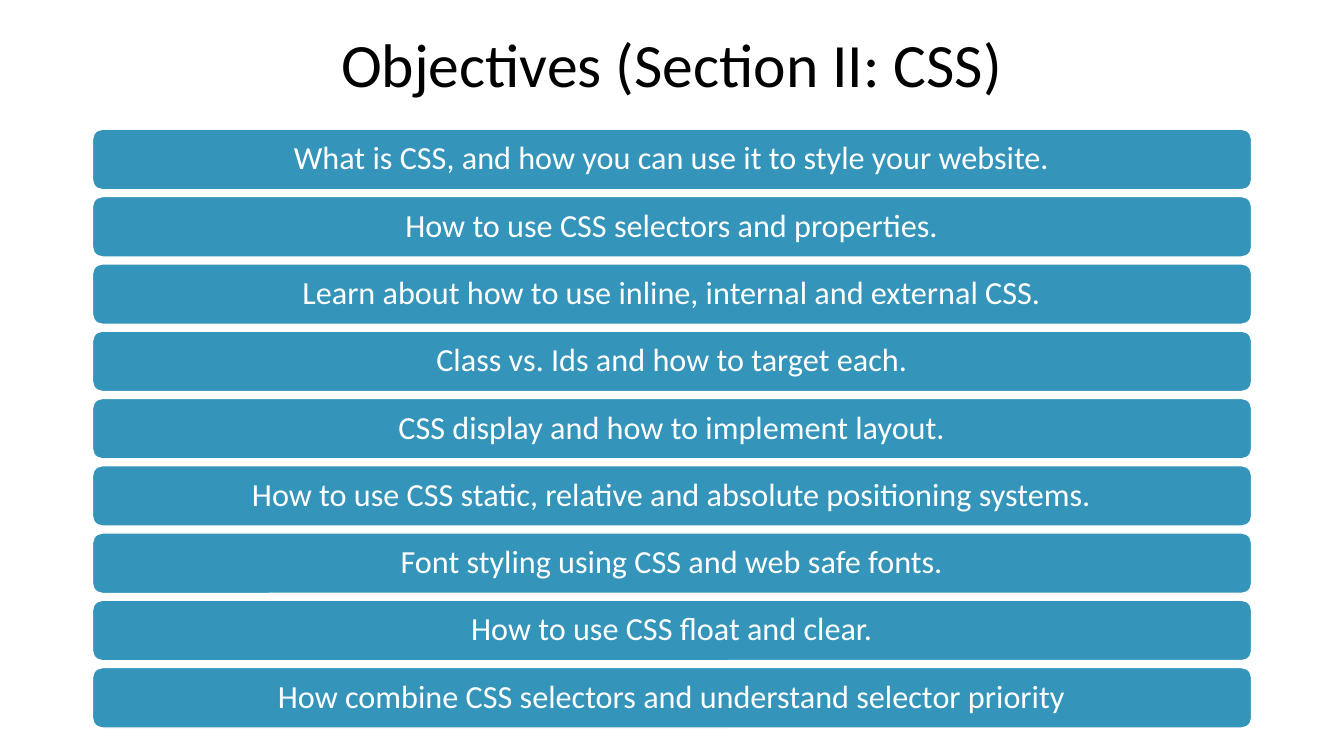
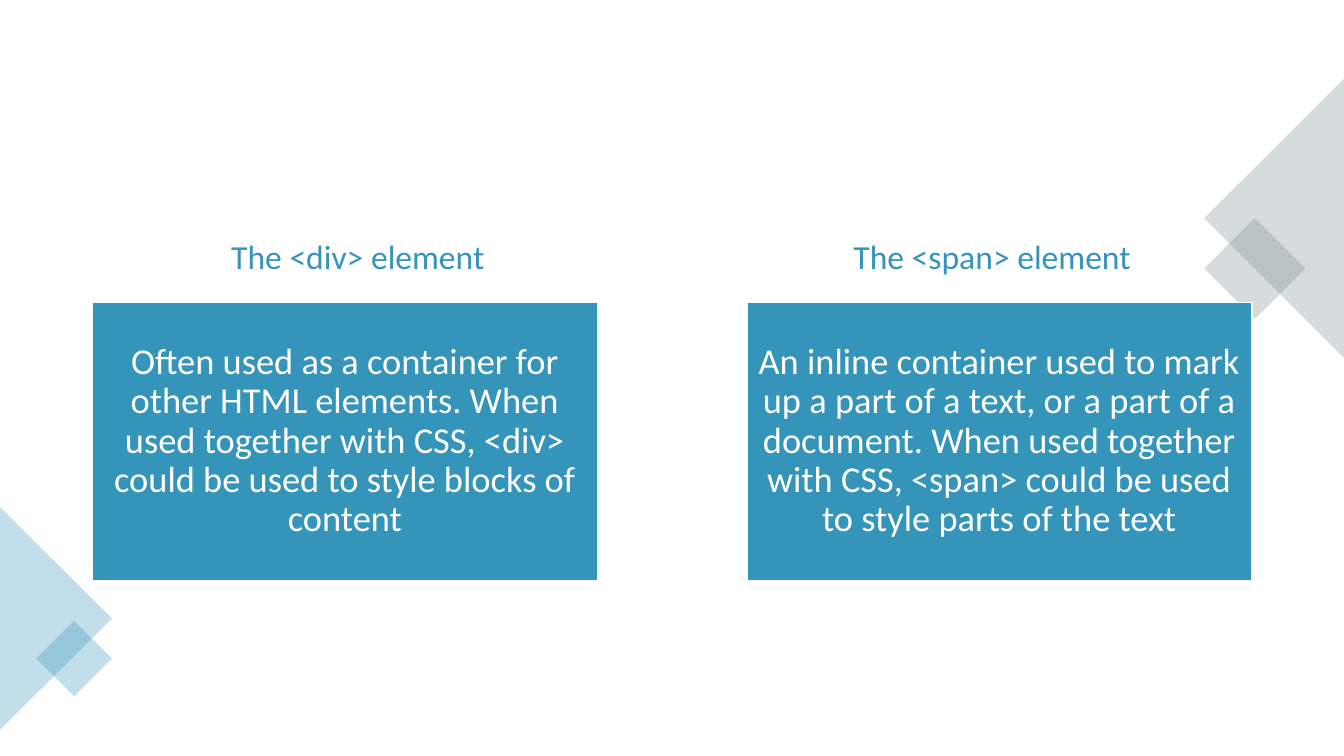
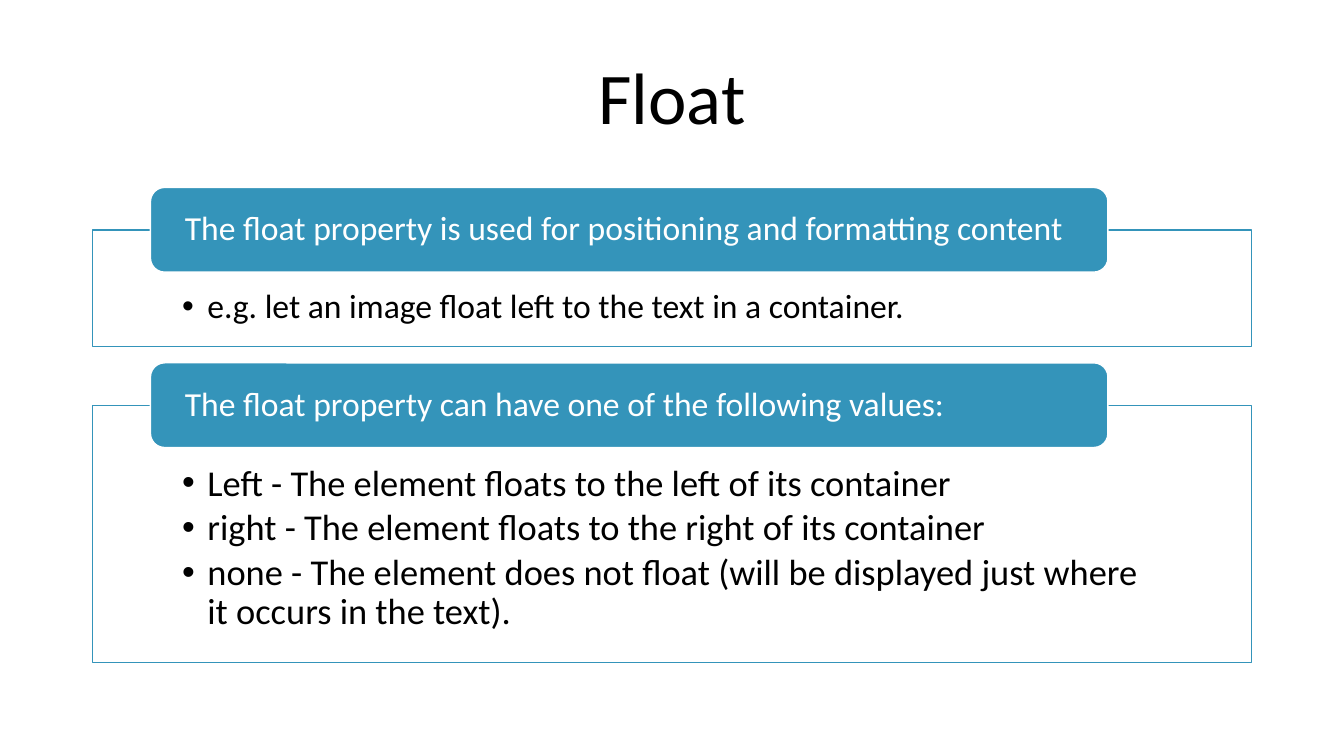
from dataclasses import dataclass
from math import sqrt

from lxml import etree
from pptx import Presentation
from pptx import util as u
from pptx.dml.color import RGBColor
from pptx.enum import shapes, text
from pptx.oxml.ns import qn


@dataclass(frozen=True)
class Theme:
    font: str = "Calibri"
    blue: str = "3494BA"
    grey: str = "7A8C8E"
    white: str = "FFFFFF"
    black: str = "000000"
    small: int = 23
    mid: int = 24
    large: int = 26
    head: int = 44
    top: int = 52
    lead: float = 0.9
    tint: int = 30


@dataclass(frozen=True)
class Box:
    x: float
    y: float
    w: float
    h: float

    def area(self, x, y, w, h):
        return Box(self.x + self.w * x / 100, self.y + self.h * y / 100,
                   self.w * w / 100, self.h * h / 100)

    def frame(self):
        return [u.Inches(v) for v in (self.x, self.y, self.w, self.h)]


THEME = Theme()
PAGE = Box(0, 0, 13.33, 7.5)
KIND = shapes.MSO_SHAPE
LEFT, CENTER = text.PP_ALIGN.LEFT, text.PP_ALIGN.CENTER
TOP, MIDDLE = text.MSO_ANCHOR.TOP, text.MSO_ANCHOR.MIDDLE


def around(x, y, w, h):
    return Box(x - w / 2, y - h / 2, w, h)


def write(shape, *lines, size, color=THEME.white, align=CENTER, anchor=MIDDLE,
          pad=(0.1, 0.05, 0.1, 0.05), lead=THEME.lead, after=0, dots=False):
    frame = shape.text_frame
    frame.word_wrap = True
    frame.vertical_anchor = anchor
    (frame.margin_left, frame.margin_top,
     frame.margin_right, frame.margin_bottom) = map(u.Inches, pad)
    for i, line in enumerate(lines):
        para = frame.add_paragraph() if i else frame.paragraphs[0]
        para.alignment = align
        para.line_spacing = lead
        para.space_after = u.Pt(after)
        if dots:
            props = para._p.get_or_add_pPr()
            props.set("marL", str(u.Inches(0.25)))
            props.set("indent", str(-u.Inches(0.25)))
            etree.SubElement(props, qn("a:buFont")).set("typeface", "Arial")
            etree.SubElement(props, qn("a:buChar")).set("char", "•")
        run = para.add_run()
        run.text = line
        run.font.name = THEME.font
        run.font.size = u.Pt(size)
        run.font.color.rgb = RGBColor.from_string(color)


def draw(slide, kind, box, fill=THEME.blue, line=THEME.white, tint=None, turn=0):
    shape = slide.shapes.add_shape(kind, *box.frame())
    shape.shadow.inherit = False
    shape.rotation = turn
    shape.fill.solid()
    shape.fill.fore_color.rgb = RGBColor.from_string(fill)
    if tint:
        paint = shape._element.xpath("./p:spPr/a:solidFill/a:srgbClr")[0]
        etree.SubElement(paint, qn("a:alpha")).set("val", str(tint * 1000))
    if line:
        shape.line.color.rgb = RGBColor.from_string(line)
        shape.line.width = u.Pt(1)
    else:
        shape.line.fill.background()
    return shape


def label(slide, box, line, **form):
    write(slide.shapes.add_textbox(*box.frame()), line, **form)


def title(slide, box, line, size):
    label(slide, box, line, size=size, color=THEME.black)


def stack(slide, box, lines, gap):
    high = (100 - gap * (len(lines) - 1)) / len(lines)
    for i, line in enumerate(lines):
        bar = box.area(0, i * (high + gap), 100, high)
        write(draw(slide, KIND.ROUNDED_RECTANGLE, bar), line,
              size=THEME.small, pad=(0.1,) * 4)


def corner(slide, box, color, share, right):
    look = dict(fill=color, line=None, tint=THEME.tint)
    side = box.h * share / 100
    reach = side / sqrt(2)
    tip = box.x + reach if right else box.x + box.w - reach
    wedge = around(box.x + box.w / 2, box.y + box.h / 2, box.h, box.w)
    gem = around(tip, box.y + box.h * 0.68, side, side)
    draw(slide, KIND.ISOSCELES_TRIANGLE, wedge, turn=270 if right else 90, **look)
    draw(slide, KIND.RECTANGLE, gem, turn=45, **look)


def card(slide, box, head, body, start, wide):
    panel = box.area(0, 20.47, 100, 79.53)
    write(draw(slide, KIND.RECTANGLE, panel), body,
          size=THEME.large, pad=(0.02,) * 4)
    label(slide, box.area(start, 0, wide, 14.41), head, size=THEME.mid,
          color=THEME.blue, anchor=TOP, lead=1)


def group(slide, box, head, points, size):
    tab = PAGE.h * 0.112
    frame = Box(box.x, box.y + tab / 2, box.w, box.h - tab / 2)
    write(draw(slide, KIND.RECTANGLE, frame, THEME.white, THEME.blue), *points,
          size=size, color=THEME.black, align=LEFT, anchor=TOP,
          pad=(0.89, 0.59, 0.89, 0.2), after=size * 0.15, dots=True)
    bar = Box(box.x + box.w * 0.05, box.y, box.w * 0.826, tab)
    write(draw(slide, KIND.ROUNDED_RECTANGLE, bar), head,
          size=THEME.mid, align=LEFT, pad=(0.3, 0, 0.3, 0))


def goals(slide):
    title(slide, PAGE.area(6.88, 3.47, 86.25, 10.93),
          "Objectives (Section II: CSS)", THEME.head)
    stack(slide, PAGE.area(6.88, 17.1, 86.25, 79.2), (
        "What is CSS, and how you can use it to style your website.",
        "How to use CSS selectors and properties.",
        "Learn about how to use inline, internal and external CSS.",
        "Class vs. Ids and how to target each.",
        "CSS display and how to implement layout.",
        "How to use CSS static, relative and absolute positioning systems.",
        "Font styling using CSS and web safe fonts.",
        "How to use CSS float and clear.",
        "How combine CSS selectors and understand selector priority",
    ), gap=1.14)


def tags(slide):
    corner(slide, PAGE.area(89.6, 10.4, 10.4, 36.93), THEME.grey, 25.6, True)
    corner(slide, PAGE.area(0, 67.07, 8.33, 29.47), THEME.blue, 24, False)
    cards = (
        (6.88, "The <div> element",
         "Often used as a container for other HTML elements. When used together "
         "with CSS, <div> could be used to style blocks of content", 3.04, 99),
        (55.57, "The <span> element",
         "An inline container used to mark up a part of a text, or a part of a "
         "document. When used together with CSS, <span> could be used to style "
         "parts of the text", 1.84, 93.41),
    )
    for x, *rest in cards:
        card(slide, PAGE.area(x, 30.53, 37.58, 46.27), *rest)


def floats(slide):
    title(slide, PAGE.area(6.88, 6.53, 86.25, 13.6), "Float", THEME.top)
    group(slide, PAGE.area(6.88, 24.8, 86.25, 21.07),
          "The float property is used for positioning and formatting content",
          ("e.g. let an image float left to the text in a container.",), THEME.mid)
    group(slide, PAGE.area(6.88, 48, 86.25, 39.6),
          "The float property can have one of the following values:",
          ("Left - The element floats to the left of its container",
           "right - The element floats to the right of its container",
           "none - The element does not float (will be displayed just where "
           "it occurs in the text)."), THEME.large)


def main():
    deck = Presentation()
    deck.slide_width, deck.slide_height = u.Inches(PAGE.w), u.Inches(PAGE.h)
    for build in (goals, tags, floats):
        build(deck.slides.add_slide(deck.slide_layouts[6]))
    deck.save("out.pptx")


if __name__ == "__main__":
    main()
